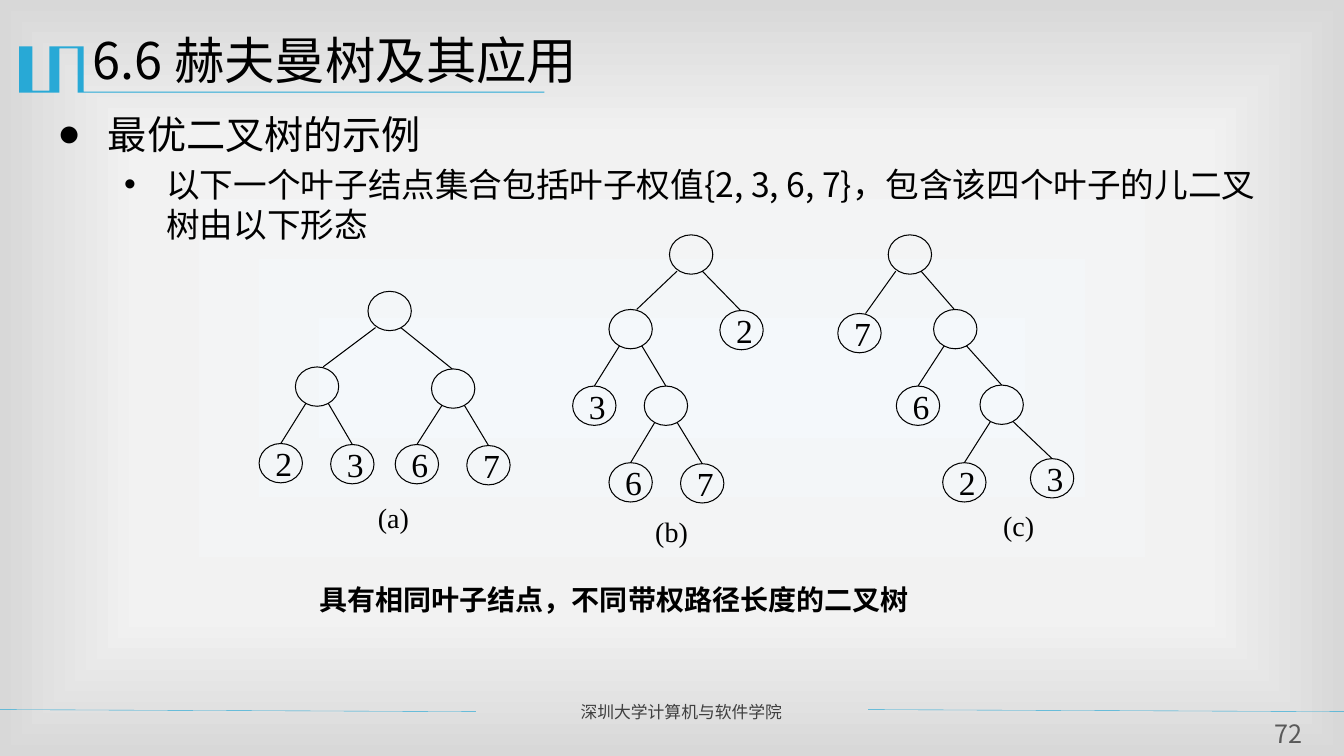
from lxml import etree
from pptx import Presentation, util as u
from pptx.dml.color import RGBColor
from pptx.enum import shapes, text
from pptx.oxml import ns

# The slide is a grid of 1333 columns by 750 rows
CELL = u.Inches(0.01)
COLUMNS, ROWS = 1333, 750
SANS, SERIF = "Noto Sans CJK SC", "Times New Roman"
BLACK, ACCENT = "000000", "28A9D6"
NODE_W, NODE_H = 43, 39
# Branch ends as column offsets from the parent's and the child's middle
ROOT_BRANCHES = ((-14, 6), (11, -1))
INNER_BRANCHES = ((-11, 0), (11, 0))

# A node is (column, row, weight, children)
TREES = {
    "(a)": ((365, 496), (365, 289, "", [
        (293, 364, "", [(257, 440, "2", []), (328, 441, "3", [])]),
        (428, 366, "", [(392, 441, "6", []), (463, 442, "7", [])])])),
    "(b)": ((640, 510), (664, 233, "", [
        (604, 307, "", [
            (568, 383, "3", []),
            (639, 383, "", [(604, 459, "6", []), (675, 460, "7", [])])]),
        (714, 308, "2", [])])),
    "(c)": ((985, 504), (881, 233, "", [
        (831, 311, "7", []),
        (926, 307, "", [
            (889, 383, "6", []),
            (972, 382, "", [(935, 459, "2", []), (1022, 455, "3", [])])])])),
}
EMBLEM = [(82, 46), (83, 46), (83, 91), (540, 91), (540, 92), (77, 92),
          (77, 48), (59, 48), (59, 92), (19, 92), (19, 46), (32, 46),
          (32, 90), (49, 90), (49, 46)]


def cells(*counts):
    return [round(count * CELL) for count in counts]


def color(value):
    return RGBColor.from_string(value)


def set_values(target, values):
    for name, value in values.items():
        setattr(target, name, value)


def add_xml(parent, tag, **attributes):
    return etree.SubElement(parent, ns.qn(tag), attributes)


def write(paragraph, words, size, face=SANS, ink=BLACK, bold=False):
    run = paragraph.add_run()
    run.text = words
    set_values(run.font, {"size": u.Pt(size), "name": face, "bold": bold})
    run.font.color.rgb = color(ink)
    add_xml(run.font._element, "a:ea", typeface=SANS)


def add_bullet(paragraph, sign, margin, hang):
    properties = paragraph._p.get_or_add_pPr()
    left, indent = cells(margin, -hang)
    properties.set("marL", str(left))
    properties.set("indent", str(indent))
    add_xml(properties, "a:buFont", typeface="Arial")
    add_xml(properties, "a:buChar", char=sign)


def place(holder, left, top, width, height):
    for name, value in zip(("left", "top", "width", "height"),
                           cells(left, top, width, height)):
        setattr(holder, name, value)


def add_label(slide, box, words, size, frame_format=None, align=text.PP_ALIGN.LEFT, **style):
    frame = slide.shapes.add_textbox(*cells(*box)).text_frame
    set_values(frame, {"word_wrap": False,
                       "vertical_anchor": text.MSO_ANCHOR.MIDDLE,
                       **(frame_format or {})})
    frame.paragraphs[0].alignment = align
    write(frame.paragraphs[0], words, size, **style)


def add_line(slide, start, end, ink=BLACK, width=0.75):
    line = slide.shapes.add_connector(shapes.MSO_CONNECTOR.STRAIGHT,
                                      *cells(*start, *end))
    line.line.color.rgb = color(ink)
    line.line.width = u.Pt(width)
    add_xml(line._element.spPr, "a:effectLst")


def add_tree(slide, node, branches=ROOT_BRANCHES):
    left, top, weight, children = node
    circle = slide.shapes.add_shape(shapes.MSO_SHAPE.OVAL,
                                    *cells(left, top, NODE_W, NODE_H))
    circle.shadow.inherit = False
    circle.fill.background()
    circle.line.color.rgb = color(BLACK)
    circle.line.width = u.Pt(0.75)
    if weight:
        frame = circle.text_frame
        set_values(frame, {"word_wrap": False,
                           "vertical_anchor": text.MSO_ANCHOR.MIDDLE})
        frame.paragraphs[0].alignment = text.PP_ALIGN.LEFT
        write(frame.paragraphs[0], weight, 24, SERIF)
    # Branches leave the lower left and lower right of the circle
    for child, (leave, arrive) in zip(children, branches):
        add_line(slide, (left + NODE_W / 2 + leave, top + 36),
                 (child[0] + NODE_W / 2 + arrive, child[1]))
        add_tree(slide, child, INNER_BRANCHES)


def paint_background(slide):
    fill = slide.background.fill
    fill.gradient()
    gradient = fill._fill._gradFill
    for part in list(gradient):
        gradient.remove(part)
    stops = add_xml(gradient, "a:gsLst")
    for share, ink in ((0, "F4F8FB"), (63, "F2F2F2"), (100, "D8D8D8")):
        stop = add_xml(stops, "a:gs", pos=str(share * 1000))
        add_xml(stop, "a:srgbClr", val=ink)
    spread = add_xml(gradient, "a:path", path="rect")
    add_xml(spread, "a:fillToRect", **dict.fromkeys("ltrb", "50000"))


def add_decoration(slide):
    builder = slide.shapes.build_freeform(*EMBLEM[0], scale=CELL)
    builder.add_line_segments(EMBLEM[1:], close=True)
    emblem = builder.convert_to_shape()
    emblem.shadow.inherit = False
    emblem.fill.solid()
    emblem.fill.fore_color.rgb = color(ACCENT)
    emblem.line.fill.background()
    for start, end in ((0, 472), (861, COLUMNS)):
        add_line(slide, (start, 704), (end, 706), ACCENT, 0.25)
    add_label(slide, (566, 691, 285, 30), "深圳大学计算机与软件学院", 12, ink="3F3F3F")


def fill_placeholders(slide):
    heading, outline = slide.placeholders
    place(heading, 82, 24, 1200, 87)
    place(outline, 47, 104, 1213, 225)
    for holder in (heading, outline):
        set_values(holder.text_frame, {"vertical_anchor": text.MSO_ANCHOR.TOP,
                                       "auto_size": text.MSO_AUTO_SIZE.NONE,
                                       "word_wrap": True})
    title = heading.text_frame.paragraphs[0]
    set_values(title, {"alignment": text.PP_ALIGN.LEFT, "line_spacing": 1.0})
    write(title, "6.6 赫夫曼树及其应用", 36)

    body = outline.text_frame
    topic, detail = body.paragraphs[0], body.add_paragraph()
    detail.level = 1
    add_bullet(topic, "●", 50, 50)
    add_bullet(detail, "•", 108, 42)
    set_values(topic, {"line_spacing": 1.0, "space_before": u.Pt(0)})
    set_values(detail, {"line_spacing": 1.0, "space_before": u.Pt(4.8)})
    write(topic, "最优二叉树的示例", 28)
    write(detail, "以下一个叶子结点集合包括叶子权值{2, 3, 6, 7}，"
                  "包含该四个叶子的儿二叉树由以下形态", 24)


def main():
    deck = Presentation()
    deck.slide_width, deck.slide_height = cells(COLUMNS, ROWS)
    slide = deck.slides.add_slide(deck.slide_layouts[1])
    paint_background(slide)
    add_decoration(slide)
    fill_placeholders(slide)

    # Page number
    no_margins = dict.fromkeys(("margin_left", "margin_right",
                                "margin_top", "margin_bottom"), 0)
    add_label(slide, (1248, 713, 59, 31), "72", 18,
              {**no_margins, "word_wrap": True,
               "vertical_anchor": text.MSO_ANCHOR.TOP},
              text.PP_ALIGN.CENTER, ink="595959")

    # Three trees and the caption below them
    for name, (corner, root) in TREES.items():
        add_tree(slide, root)
        add_label(slide, (*corner, 60, 35), name, 20, face=SERIF)
    add_label(slide, (307, 575, 709, 39), "具有相同叶子结点，不同带权路径长度的二叉树",
              20, face=SERIF, bold=True)
    deck.save("out.pptx")


if __name__ == "__main__":
    main()
